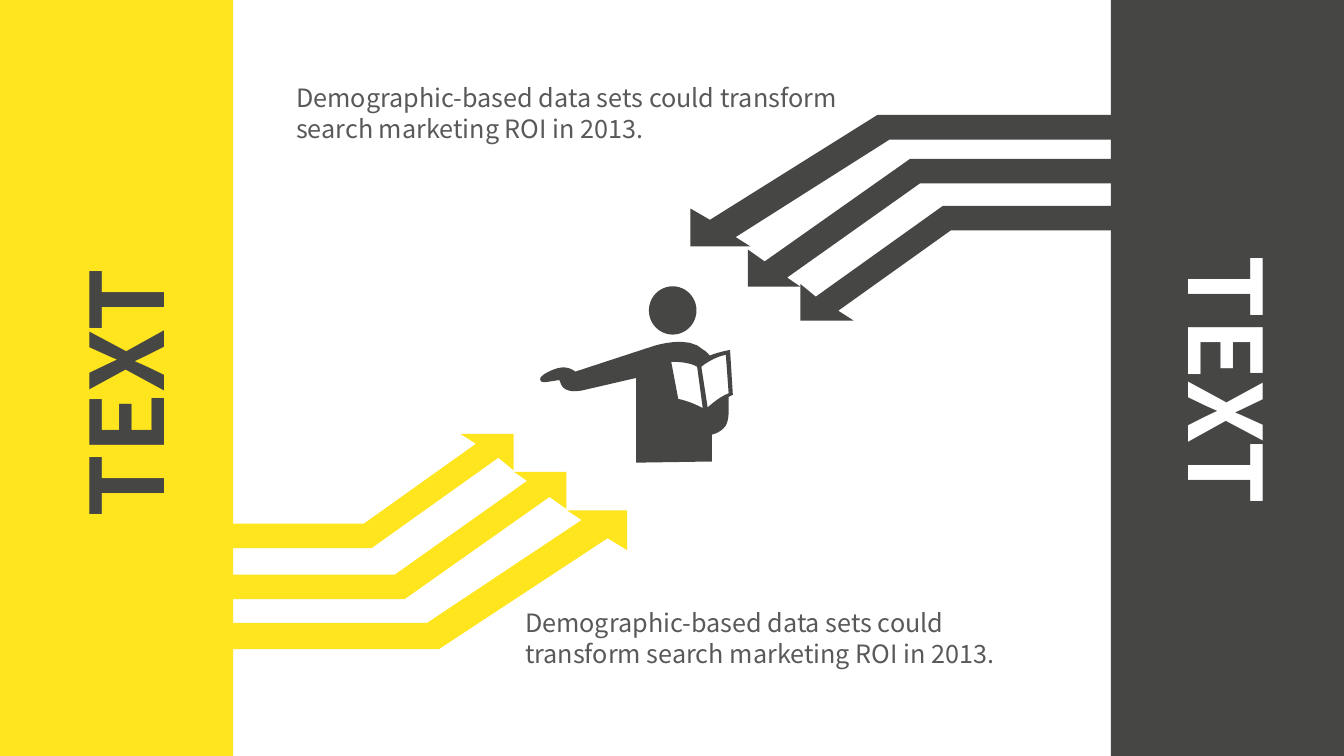
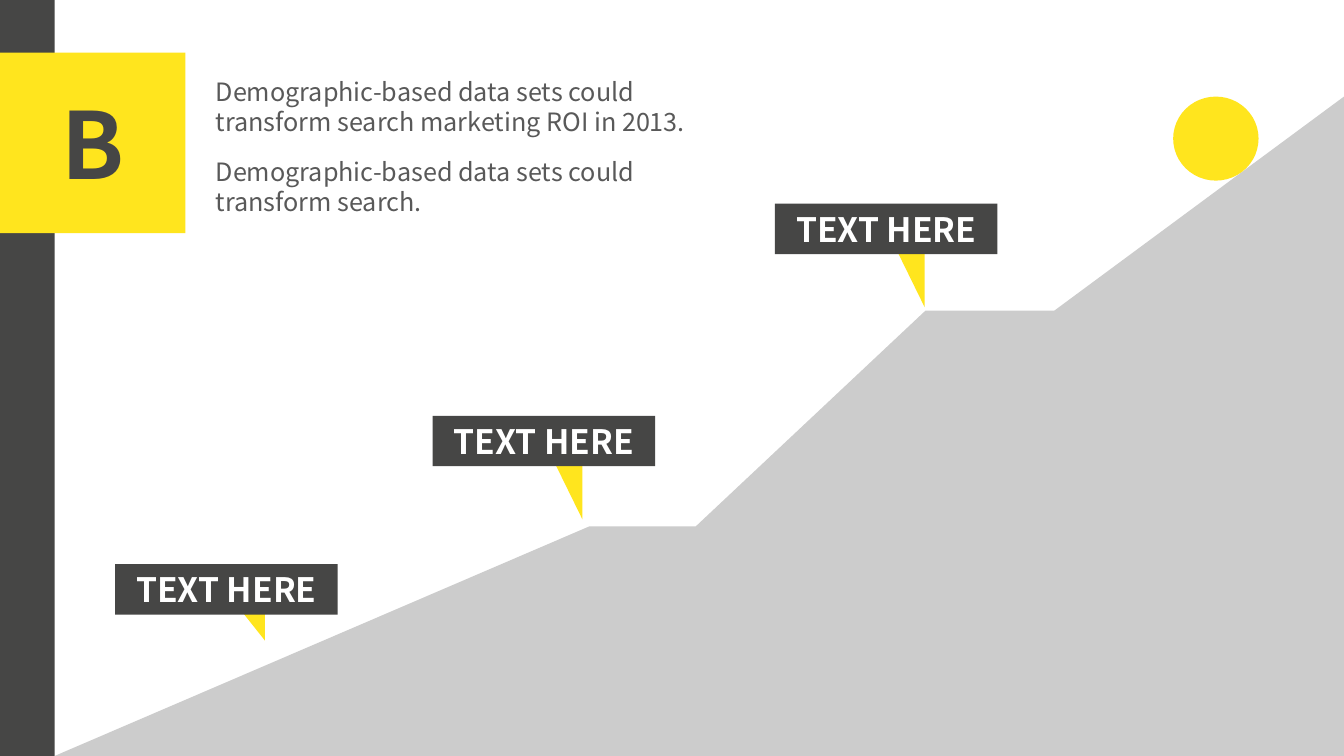
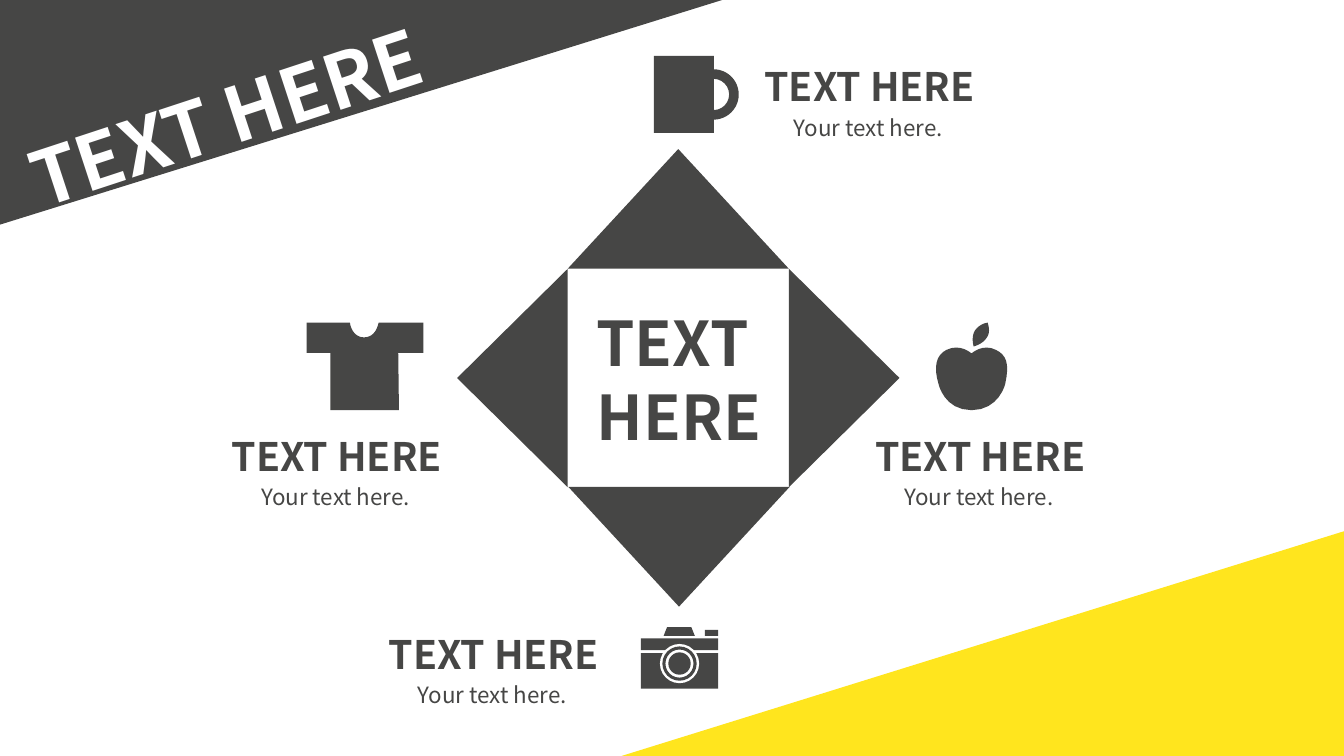
"""Builds three infographic slides in yellow and dark grey."""
from pptx import Presentation
from pptx.dml.color import RGBColor
from pptx.enum.shapes import MSO_SHAPE
from pptx.enum.text import MSO_ANCHOR, MSO_AUTO_SIZE, PP_ALIGN
from pptx.oxml.ns import qn
from pptx.util import Pt

RECT = MSO_SHAPE.RECTANGLE
OVAL = MSO_SHAPE.OVAL
RING = MSO_SHAPE.DONUT
PEAK = MSO_SHAPE.ISOSCELES_TRIANGLE
WEDGE = MSO_SHAPE.RIGHT_TRIANGLE
TRAP = MSO_SHAPE.TRAPEZOID
MIDDLE = MSO_ANCHOR.MIDDLE
TOP = MSO_ANCHOR.TOP
GROW = MSO_AUTO_SIZE.SHAPE_TO_FIT_TEXT
LEFT = PP_ALIGN.LEFT
CENTER = PP_ALIGN.CENTER

YELLOW = RGBColor(0xFF, 0xE5, 0x1E)
DARK = RGBColor(0x46, 0x46, 0x45)
GREY = RGBColor(0xCC, 0xCC, 0xCC)
BODY = RGBColor(0x59, 0x59, 0x59)
WHITE = RGBColor(0xFF, 0xFF, 0xFF)
FONT = "Noto Sans CJK SC"
WIDE, HIGH = 960, 540
STEPS = 8

LONG = "Demographic-based data sets could transform search marketing ROI in 2013."
SHORT = "Demographic-based data sets could transform search."

ARROWS = [
    ([(146, 374), (260, 374), (340, 317), (329, 310), (367, 310),
      (367, 336), (356, 327), (265.5, 391.5), (146, 391.5)], (571.7, 147, 229)),
    ([(146, 410.5), (282, 410.5), (376.5, 343.5), (367, 337), (404.5, 337),
      (404.5, 363.5), (392.5, 355), (289, 428), (146, 428)], (534.2, 113.5, 204.8)),
    ([(146, 445), (305, 445), (415.5, 371.5), (405, 364.5), (448, 364.5),
      (448, 393), (434, 384.5), (313.5, 463.7), (146, 463.7)], (493.2, 82, 176)),
]
READER = [
    [(523.5, 282), (521.5, 250), (519, 250.5),
     (519, 250.5, 513.5, 251.5, 507, 254), (505, 251.5, 503.5, 250.5, 502.5, 250),
     (492, 239, 468, 247, 467.5, 247), (443, 255), (411, 265.5),
     (409, 264, 404, 260.5, 395.5, 264), (389, 266.5, 385, 269.5, 386, 271.5),
     (386.5, 273.5, 389.5, 273, 390, 273), (399.5, 271.5),
     (400.5, 273, 400.5, 275, 402.5, 277), (405.5, 279.5, 409.5, 280, 415.5, 279),
     (454.5, 270), (454.5, 330.5), (508.5, 329.7), (508.5, 310.5),
     (512.5, 309.5, 516, 307.5, 518.5, 304),
     (520.5, 300, 520.5, 296, 520.5, 291.5), (520.5, 283.5)],
    [(484.5, 285), (479.5, 258.5), (483, 258.5, 492, 258.5, 498, 262),
     (502, 291.5), (498, 289.5, 492, 286.5, 484.5, 285)],
    [(505.5, 291), (501, 262), (507, 257, 515, 254, 518.5, 253.5),
     (520.5, 281), (514, 283.5, 508.5, 288.5, 505.5, 291)],
]
HILL = [(39, 540), (421, 376), (497, 376), (661, 222), (753, 222),
        (960, 69), (960, 540)]
SHIRT = [(302.5, 230.5), (270.5, 230.5), (270, 232, 268.5, 241, 260, 241),
         (252, 241, 250, 232, 250, 230.5), (219, 230.5), (219, 252),
         (236, 252), (236, 293), (285, 293), (284.5, 252), (302.5, 252)]
APPLE = [(711.5, 250), (702, 245, 694, 252.5, 694, 252.5),
         (694, 252.5, 686, 245, 676, 250), (669, 253.5, 666.5, 261.5, 670.5, 274.5),
         (670.5, 274.5, 674.5, 293, 694, 293), (713.5, 293, 718, 274.5, 718, 274.5),
         (721.5, 259, 718.5, 253.5, 711.5, 250)]
LEAF = [(705, 241), (708, 237, 705.5, 230.5, 705.5, 230.5),
        (705.5, 230.5, 700, 231, 696.5, 236),
        (693.5, 240.5, 695.5, 247.5, 695.5, 247.5),
        (695.5, 247.5, 702, 246, 705, 241)]


def trace(nodes):
    """Turns corners and cubic curves into a list of points in EMU."""
    points = [nodes[0]]
    for node in nodes[1:]:
        if len(node) == 2:
            points.append(node)
            continue
        knots = [points[-1], node[:2], node[2:4], node[4:]]
        for step in range(1, STEPS + 1):
            t = step / STEPS
            parts = ((1 - t) ** 3, 3 * t * (1 - t) ** 2, 3 * t * t * (1 - t), t ** 3)
            points.append(tuple(sum(p * k[axis] for p, k in zip(parts, knots))
                                for axis in (0, 1)))
    return [(Pt(x), Pt(y)) for x, y in points]


def twin(nodes, left, top, low, right=793.5):
    """Turns an outline half round and fits it into a box."""
    xs, ys = zip(*nodes)
    across = (right - left) / (max(xs) - min(xs))
    down = (low - top) / (max(ys) - min(ys))
    return [(left + (max(xs) - x) * across, top + (max(ys) - y) * down)
            for x, y in nodes]


class Deck:
    """Holds the style and the current slide."""

    def __init__(self):
        """Opens an empty wide deck."""
        self.show = Presentation()
        self.show.slide_width, self.show.slide_height = Pt(WIDE), Pt(HIGH)
        self.shapes = None

    def slide(self):
        """Adds a blank slide and makes it current."""
        self.shapes = self.show.slides.add_slide(self.show.slide_layouts[6]).shapes

    def paint(self, shape, color):
        """Gives a shape a flat fill with no line or shadow."""
        shape.shadow.inherit = False
        shape.fill.solid()
        shape.fill.fore_color.rgb = color
        shape.line.fill.background()
        return shape

    def shape(self, kind, box, color, turn=0, flip=None, adjust=None):
        """Draws a preset shape."""
        shape = self.paint(self.shapes.add_shape(kind, *map(Pt, box)), color)
        shape.rotation = turn
        if flip:
            shape.element.spPr.find(qn("a:xfrm")).set(flip, "1")
        if adjust is not None:
            shape.adjustments[0] = adjust
        return shape

    def outline(self, color, *loops):
        """Draws a free outline; later loops cut holes."""
        first, *holes = map(trace, loops)
        pen = self.shapes.build_freeform(*first[0], scale=1.0)
        pen.add_line_segments(first[1:], close=True)
        for hole in holes:
            pen.move_to(*hole[0])
            pen.add_line_segments(hole[1:], close=True)
        return self.paint(pen.convert_to_shape(), color)

    def letter(self, shape, lines, size, color, bold=True, align=LEFT):
        """Puts lines into a shape, one run each."""
        frame = shape.text_frame
        for index, line in enumerate(lines):
            para = frame.add_paragraph() if index else frame.paragraphs[0]
            para.alignment = align
            run = para.add_run()
            run.text = line
            run.font.name, run.font.size = FONT, Pt(size)
            run.font.bold, run.font.color.rgb = bold, color

    def text(self, box, lines, size, color, bold=True, turn=0, wrap=True):
        """Adds a text box."""
        shape = self.shapes.add_textbox(*map(Pt, box))
        shape.rotation = turn
        shape.text_frame.word_wrap = wrap
        shape.text_frame.auto_size = GROW
        self.letter(shape, lines, size, color, bold)

    def note(self, left, top, width, line):
        """Adds a passage of body text."""
        self.text((left, top, width, 51), [line], 18, BODY, bold=False)

    def tag(self, left, top, drop):
        """Adds a label with a pointer below it."""
        self.shape(PEAK, (left + 82, top + 23, 25, drop), YELLOW, 180, adjust=0)
        label = self.shape(RECT, (left, top, 159, 36), DARK)
        label.text_frame.vertical_anchor = TOP
        label.text_frame.auto_size = GROW
        self.letter(label, ["TEXT HERE"], 24, WHITE, align=CENTER)

    def caption(self, left, top):
        """Adds a heading with a small line under it."""
        self.text((left, top, 180, 41), ["TEXT HERE"], 28, DARK)
        self.text((left + 21, top + 36.7, 129, 26.6), ["Your text here."],
                  16, DARK, bold=False)


def forces(deck):
    """Draws the slide with two opposed sides."""
    deck.slide()
    for nodes, place in ARROWS:
        deck.outline(YELLOW, nodes)
        deck.outline(DARK, twin(nodes, *place))
    sides = [(0, -11.5, YELLOW, DARK, 270), (793.5, 777, DARK, WHITE, 90)]
    for left, start, back, ink, turn in sides:
        deck.shape(RECT, (left, 0, 166.5, HIGH), back)
        deck.text((start, 229, 201, 94.3), ["TEXT"], 72, ink, turn=turn, wrap=False)
    deck.note(368, 430.5, 388, LONG)
    deck.note(204.5, 55.5, 404, LONG)
    deck.shape(OVAL, (463.5, 204.5, 34, 34.5), DARK)
    deck.outline(DARK, *READER)


def climb(deck):
    """Draws the slide with the stepped hill."""
    deck.slide()
    deck.shape(RECT, (0, 0, 39, HIGH), DARK)
    badge = deck.shape(RECT, (0, 37.5, 132.5, 129), YELLOW)
    badge.text_frame.vertical_anchor = MIDDLE
    deck.letter(badge, ["B"], 66, DARK, align=CENTER)
    deck.outline(GREY, HILL)
    deck.shape(OVAL, (838, 69, 61, 60), YELLOW)
    for place in [(309, 297, 51), (553.5, 145.5, 51), (82.2, 403, 31.5)]:
        deck.tag(*place)
    for top, line in [(51, LONG), (108, SHORT)]:
        deck.note(147, top, 367, line)


def compass(deck):
    """Draws the slide with four topics round a square."""
    deck.slide()
    deck.shape(WEDGE, (444, 379.5, 516, 160.5), YELLOW, flip="flipH")
    deck.shape(WEDGE, (0, 0, 516, 160.5), DARK, flip="flipV")
    deck.text((5.8, 26, 437.8, 72.7), ["TEXT HERE"], 54, WHITE, turn=341.8)
    peaks = [(405.5, 106.5, 158, 85.5), (525, 230.5, 156, 79),
             (406, 347.8, 158, 85.5), (288, 230.5, 156, 79)]
    for index, box in enumerate(peaks):
        deck.shape(PEAK, box, DARK, turn=90 * index)
    deck.text((419, 214, 145.5, 113.8), ["TEXT", "HERE"], 44, DARK)
    for nodes in (SHIRT, APPLE, LEAF):
        deck.outline(DARK, nodes)
    deck.shape(RING, (491.7, 49.5, 36, 36), DARK, adjust=0.19)
    deck.shape(RECT, (467, 40, 43, 55), DARK)
    deck.shape(TRAP, (474, 448, 22.3, 6.2), DARK, adjust=0.4)
    for box in [(503.5, 450, 9.5, 4.2), (457.7, 456, 55.2, 8.5),
                (457.7, 466.5, 55.2, 25.5)]:
        deck.shape(RECT, box, DARK)
    for kind, size, color in [(OVAL, 28, WHITE), (RING, 24.5, DARK), (OVAL, 16, DARK)]:
        box = (485.4 - size / 2, 474 - size / 2, size, size)
        deck.shape(kind, box, color, adjust=0.09 if kind == RING else None)
    for place in [(158.5, 305), (618, 305), (539, 41), (270.5, 446.5)]:
        deck.caption(*place)


def main():
    """Builds and saves the deck."""
    deck = Deck()
    for draw in (forces, climb, compass):
        draw(deck)
    deck.show.save("out.pptx")


if __name__ == "__main__":
    main()
